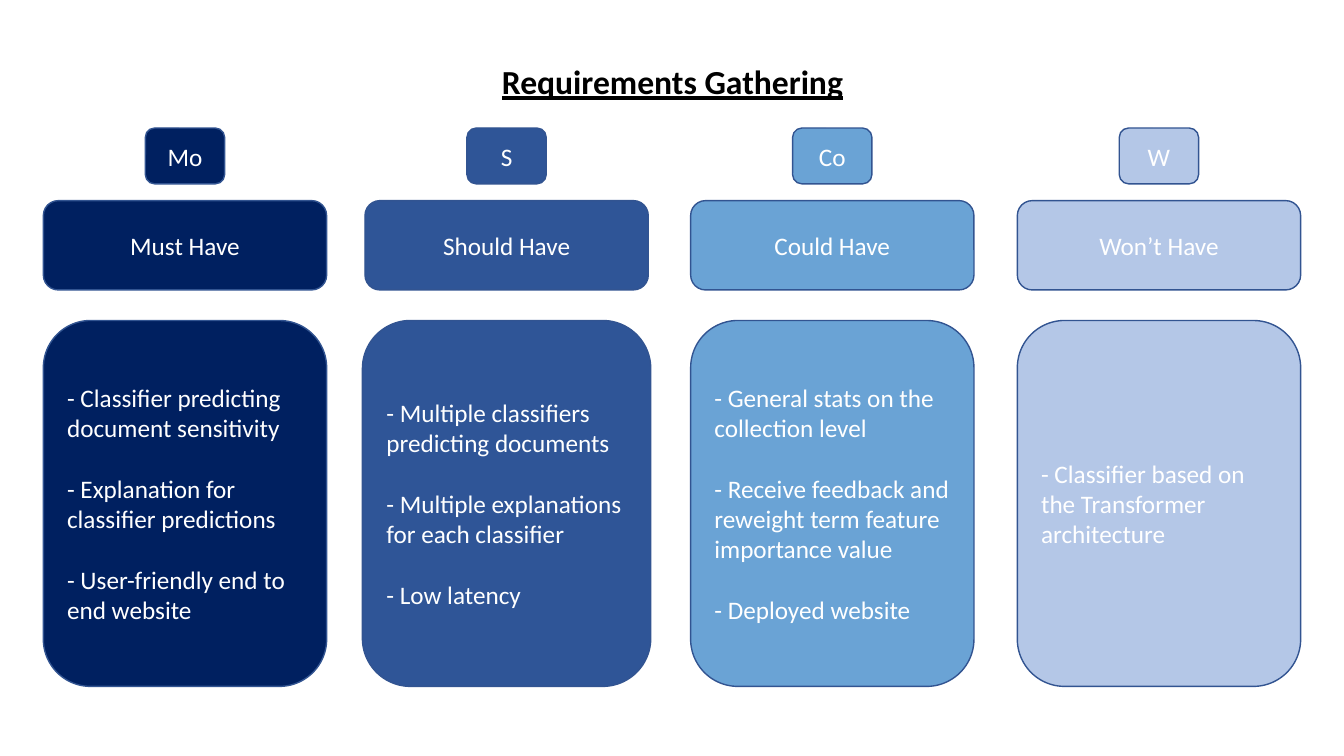
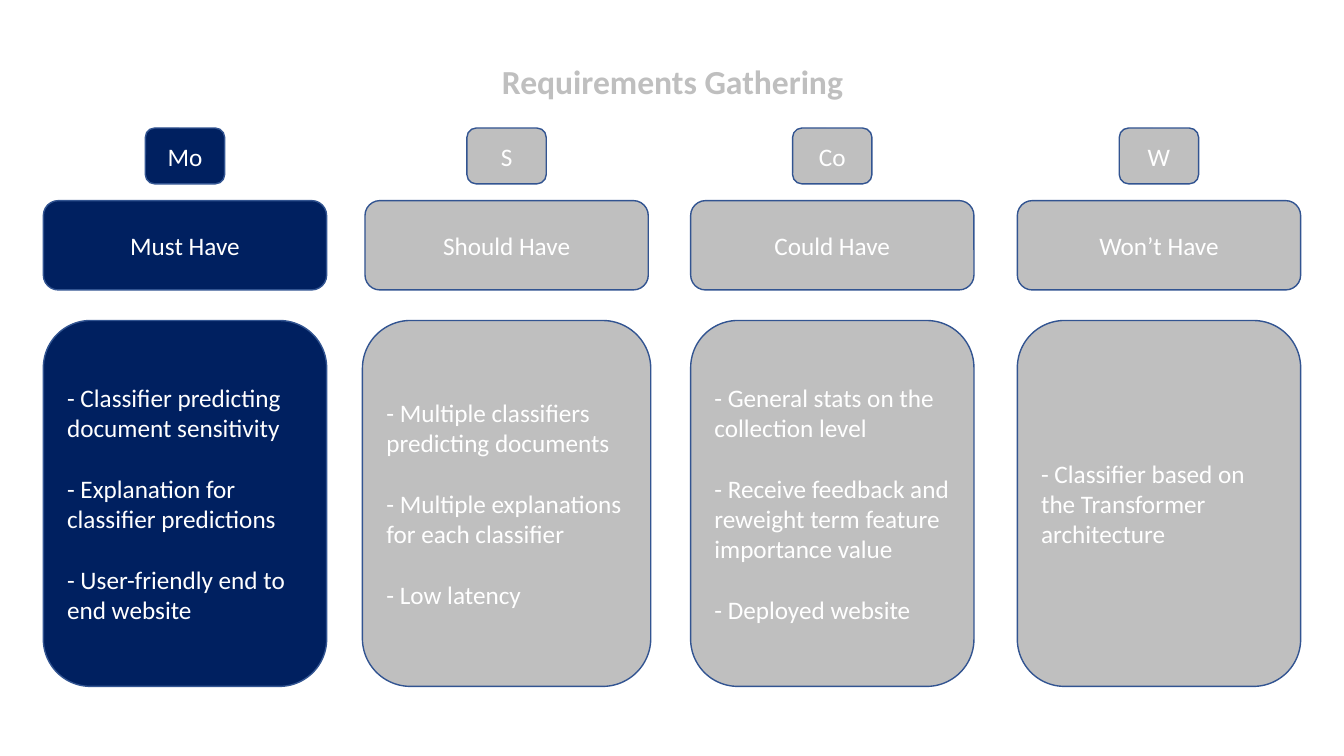
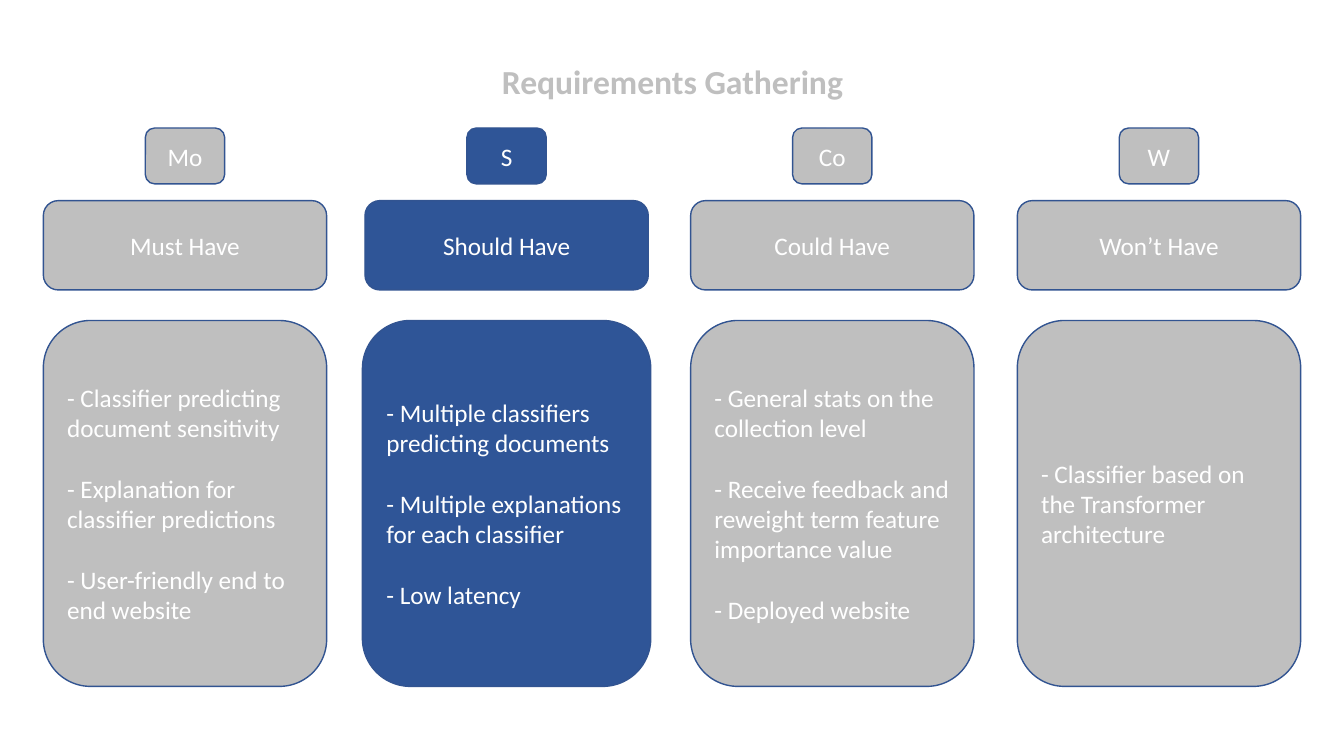
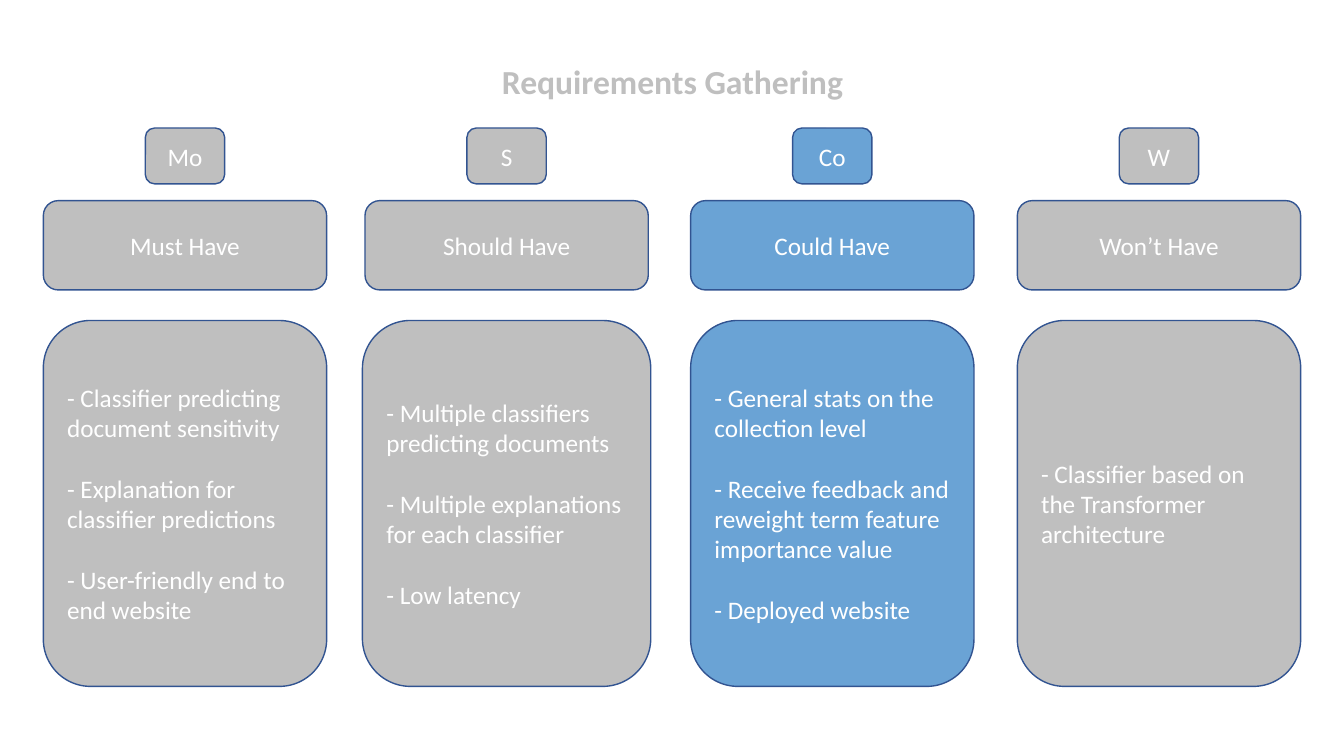
from collections import namedtuple
from dataclasses import dataclass

from pptx import Presentation
from pptx.dml.color import RGBColor
from pptx.enum.shapes import MSO_SHAPE
from pptx.enum.text import MSO_ANCHOR, MSO_AUTO_SIZE, PP_ALIGN
from pptx.util import Inches, Pt


@dataclass(frozen=True)
class Theme:
    font: str = "Calibri"
    ink: str = "000000"
    white: str = "FFFFFF"
    mute: str = "BFBFBF"
    edge: str = "325491"
    title: int = 24
    text: int = 18
    gap: int = 22  # space between list items


Box = namedtuple("Box", "x y w h")
Group = namedtuple("Group", "tag name fill items left extra")

THEME = Theme()
WIDTH, HEIGHT = 13.33, 7.5
TITLE = Box(0.92, 0.55, 11.5, 0.56)
TOP, COL, DEPTH = 1.27, 2.81, 5.54  # top, width and height of each column

# Groups: left edge of the column, extra width of its list card
GROUPS = [
    Group("Mo", "Must Have", "002060",
          ["- Classifier predicting document sensitivity",
           "- Explanation for classifier predictions",
           "- User-friendly end to end website"], 0.43, 0),
    Group("S", "Should Have", "2F5597",
          ["- Multiple classifiers predicting documents",
           "- Multiple explanations for each classifier",
           "- Low latency"], 3.62, 0.05),
    Group("Co", "Could Have", "6AA3D5",
          ["- General stats on the collection level",
           "- Receive feedback and reweight term feature importance value",
           "- Deployed website"], 6.85, 0),
    Group("W", "Won’t Have", "B4C7E7",
          ["- Classifier based on the Transformer architecture"], 10.09, 0),
]


def place(shape, box):
    shape.left, shape.top, shape.width, shape.height = map(Inches, box)


def write(shape, lines, size=THEME.text, color=THEME.white, bold=False,
          under=False, align=PP_ALIGN.CENTER, gap=0, lead=1.0):
    frame = shape.text_frame
    frame.word_wrap = True
    frame.auto_size = MSO_AUTO_SIZE.NONE
    frame.vertical_anchor = MSO_ANCHOR.MIDDLE
    for i, line in enumerate(lines):
        para = frame.add_paragraph() if i else frame.paragraphs[0]
        para.alignment, para.line_spacing = align, lead
        para.space_before = Pt(gap if i else 0)
        run = para.add_run()
        run.text = line
        font = run.font
        font.name, font.size = THEME.font, Pt(size)
        font.bold, font.underline = bold, under
        font.color.rgb = RGBColor.from_string(color)


def card(slide, box, fill, lines, **style):
    shape = slide.shapes.add_shape(MSO_SHAPE.ROUNDED_RECTANGLE,
                                   *map(Inches, box))
    shape.shadow.inherit = False
    shape.fill.solid()
    shape.fill.fore_color.rgb = RGBColor.from_string(fill)
    shape.line.color.rgb = RGBColor.from_string(THEME.edge)
    shape.line.width = Pt(1)
    write(shape, lines, **style)


def column(slide, box, group, fill):
    def part(wide, top, high):
        """Box centred across the column; top and height as shares of it."""
        return Box(box.x + (box.w - wide) / 2, box.y + top * box.h,
                   wide, high * box.h)

    # Letter tag, heading, list
    card(slide, part(0.28 * box.w, 0, 0.1), fill, [group.tag])
    card(slide, part(box.w, 0.13, 0.16), fill, [group.name])
    body = part(box.w + group.extra, 0.34, 0.66)
    body = body._replace(y=box.y + 1.91, h=box.h - 1.91)
    card(slide, body, fill, group.items, align=PP_ALIGN.LEFT, gap=THEME.gap)


def board(deck, layout, focus=None):
    """All groups in colour, or only the one in focus."""
    slide = deck.slides.add_slide(layout)
    plain = focus is None
    write(slide.shapes.title, ["Requirements Gathering"], size=THEME.title,
          color=THEME.ink if plain else THEME.mute, bold=True, under=plain,
          lead=0.9)
    for group in GROUPS:
        lit = plain or group.tag == focus
        column(slide, Box(group.left, TOP, COL, DEPTH), group,
               group.fill if lit else THEME.mute)


deck = Presentation()
deck.slide_width, deck.slide_height = Inches(WIDTH), Inches(HEIGHT)
layout = deck.slide_layouts.get_by_name("Title Only")
place(layout.placeholders[0], TITLE)  # shared title position
for focus in (None, "Mo", "S", "Co"):
    board(deck, layout, focus)
deck.save("out.pptx")
